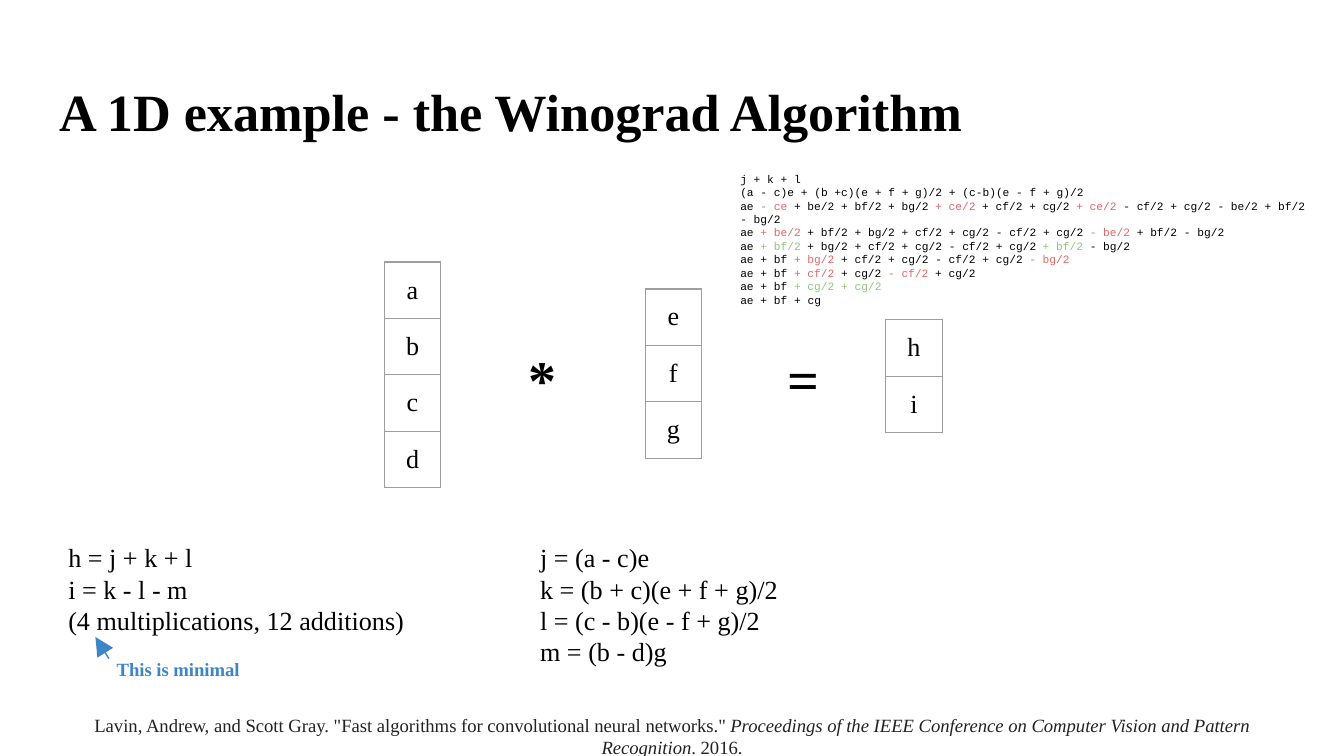
from lxml.etree import SubElement
from pptx import Presentation
from pptx.dml.color import RGBColor
from pptx.enum.shapes import MSO_CONNECTOR
from pptx.enum.text import MSO_ANCHOR, PP_ALIGN
from pptx.oxml.ns import qn
from pptx.util import Emu, Pt

SERIF, MONO = "Times New Roman", "Courier New"
BLACK, RED, GREEN, BLUE, GREY, INK = "000000", "E06666", "93C47D", "3D85C6", "9E9E9E", "222222"
CELL, INSET, CELL_INSET = 42, 10, 9

# Content: boxes are left, top, width, height in px (100 px to the inch)
TITLE = "A 1D example - the Winograd Algorithm"
VECTORS = [("abcd", 286, 195), ("efg", 480, 215), ("hi", 659, 238)]
OPERATORS = [("*", 380), ("=", 574)]
OUTPUTS = ["h = j + k + l", "i = k - l - m", "(4 multiplications, 12 additions)"]
PRODUCTS = ["j = (a - c)e", "k = (b + c)(e + f + g)/2", "l = (c - b)(e - f + g)/2", "m = (b - d)g"]
CITATION = [
    ('Lavin, Andrew, and Scott Gray. "Fast algorithms for convolutional neural networks." ', False),
    ("Proceedings of the IEEE Conference on Computer Vision and Pattern Recognition", True),
    (". 2016.", False),
]
# Each derivation line alternates black and highlighted terms
DERIVATION = [
    (BLACK, ["j + k + l"]),
    (BLACK, ["(a - c)e + (b +c)(e + f + g)/2 + (c-b)(e - f + g)/2"]),
    (RED, ["ae ", "- ce", " + be/2 + bf/2 + bg/2 ", "+ ce/2", " + cf/2 + cg/2 ", "+ ce/2",
           " - cf/2 + cg/2 - be/2 + bf/2 - bg/2"]),
    (RED, ["ae ", "+ be/2", " + bf/2 + bg/2 + cf/2 + cg/2 - cf/2 + cg/2 ", "- be/2",
           " + bf/2 - bg/2"]),
    (GREEN, ["ae ", "+ bf/2", " + bg/2 + cf/2 + cg/2 - cf/2 + cg/2 ", "+ bf/2", " - bg/2"]),
    (RED, ["ae + bf ", "+ bg/2", " + cf/2 + cg/2 - cf/2 + cg/2 ", "- bg/2"]),
    (RED, ["ae + bf ", "+ cf/2", " + cg/2 ", "- cf/2", " + cg/2"]),
    (GREEN, ["ae + bf ", "+ cg/2 + cg/2"]),
    (BLACK, ["ae + bf + cg"]),
]


def px(length):
    return Emu(length * 9144)


def rgb(value):
    return RGBColor.from_string(value)


def style(run, size, color=BLACK, font=SERIF, bold=False, italic=False):
    run.font.size, run.font.name = Pt(size), font
    run.font.bold, run.font.italic = bold, italic
    run.font.color.rgb = rgb(color)


def set_frame(frame, anchor=MSO_ANCHOR.TOP):
    frame.word_wrap = True
    frame.vertical_anchor = anchor
    frame.margin_left = frame.margin_right = frame.margin_top = frame.margin_bottom = px(INSET)


def add_text(slide, box, lines, align=PP_ALIGN.LEFT, anchor=MSO_ANCHOR.TOP):
    """Each line is a list of (text, style options) runs."""
    frame = slide.shapes.add_textbox(*map(px, box)).text_frame
    set_frame(frame, anchor)
    for index, line in enumerate(lines):
        paragraph = frame.add_paragraph() if index else frame.paragraphs[0]
        paragraph.alignment = align
        for text, options in line:
            run = paragraph.add_run()
            run.text = text
            style(run, **options)


def add_border(cell):
    properties = cell._tc.get_or_add_tcPr()
    for position, side in enumerate(("a:lnL", "a:lnR", "a:lnT", "a:lnB")):
        border = properties.makeelement(qn(side), {"w": str(Pt(0.75))})
        fill = SubElement(border, qn("a:solidFill"))
        SubElement(fill, qn("a:srgbClr"), val=GREY)
        properties.insert(position, border)


def add_vector(slide, letters, left, top):
    count = len(letters)
    box = map(px, (left, top, CELL, CELL * count))
    table = slide.shapes.add_table(count, 1, *box).table
    table.first_row = table.horz_banding = False
    for row, letter in enumerate(letters):
        cell = table.cell(row, 0)
        cell.text = letter
        cell.fill.background()
        cell.vertical_anchor = MSO_ANCHOR.MIDDLE
        cell.margin_left = cell.margin_right = px(INSET)
        cell.margin_top = cell.margin_bottom = px(CELL_INSET)
        paragraph = cell.text_frame.paragraphs[0]
        paragraph.alignment = PP_ALIGN.CENTER
        style(paragraph.runs[0], 14)
        add_border(cell)


def add_arrow(slide, start, end):
    arrow = slide.shapes.add_connector(MSO_CONNECTOR.STRAIGHT, *map(px, start + end))
    arrow.line.color.rgb = rgb(BLUE)
    arrow.line.width = Pt(0.75)
    SubElement(arrow.line._get_or_add_ln(), qn("a:tailEnd"), type="triangle", w="lg", len="lg")
    SubElement(arrow._element.spPr, qn("a:effectLst"))


def main():
    deck = Presentation()
    deck.slide_width = px(1000)
    deck.slide_height = Emu(deck.slide_width * 9 // 16)
    slide = deck.slides.add_slide(deck.slide_layouts[5])

    # Title
    title = slide.shapes.title
    title.left, title.top, title.width, title.height = map(px, (34, 49, 932, 63))
    title.text_frame.text = TITLE
    set_frame(title.text_frame)
    heading = title.text_frame.paragraphs[0]
    heading.alignment = PP_ALIGN.LEFT
    style(heading.runs[0], 28, bold=True)

    # Citation
    citation = [(text, dict(size=10, color=INK, italic=italic)) for text, italic in CITATION]
    add_text(slide, (41, 521, 918, 41), [citation], PP_ALIGN.CENTER)

    # Convolution of the vectors
    for letters, left, top in VECTORS:
        add_vector(slide, letters, left, top)
    for symbol, left in OPERATORS:
        add_text(slide, (left, 258, 48, 47), [[(symbol, dict(size=30, bold=True))]],
                 PP_ALIGN.CENTER, MSO_ANCHOR.MIDDLE)

    # Equations
    for equations, left, width in ((OUTPUTS, 41, 925), (PRODUCTS, 392, 271)):
        add_text(slide, (left, 393, width, 107), [[(line, dict(size=14))] for line in equations])

    # Remark with arrow
    add_arrow(slide, (81, 490), (71, 474))
    add_text(slide, (77, 481, 190, 31),
             [[("This is minimal", dict(size=10, color=BLUE, bold=True))]])

    # Derivation
    derivation = [
        [(term, dict(size=6, font=MONO, color=accent if index % 2 else BLACK))
         for index, term in enumerate(terms)]
        for accent, terms in DERIVATION
    ]
    add_text(slide, (541, 118, 446, 107), derivation)

    deck.save("out.pptx")


if __name__ == "__main__":
    main()
